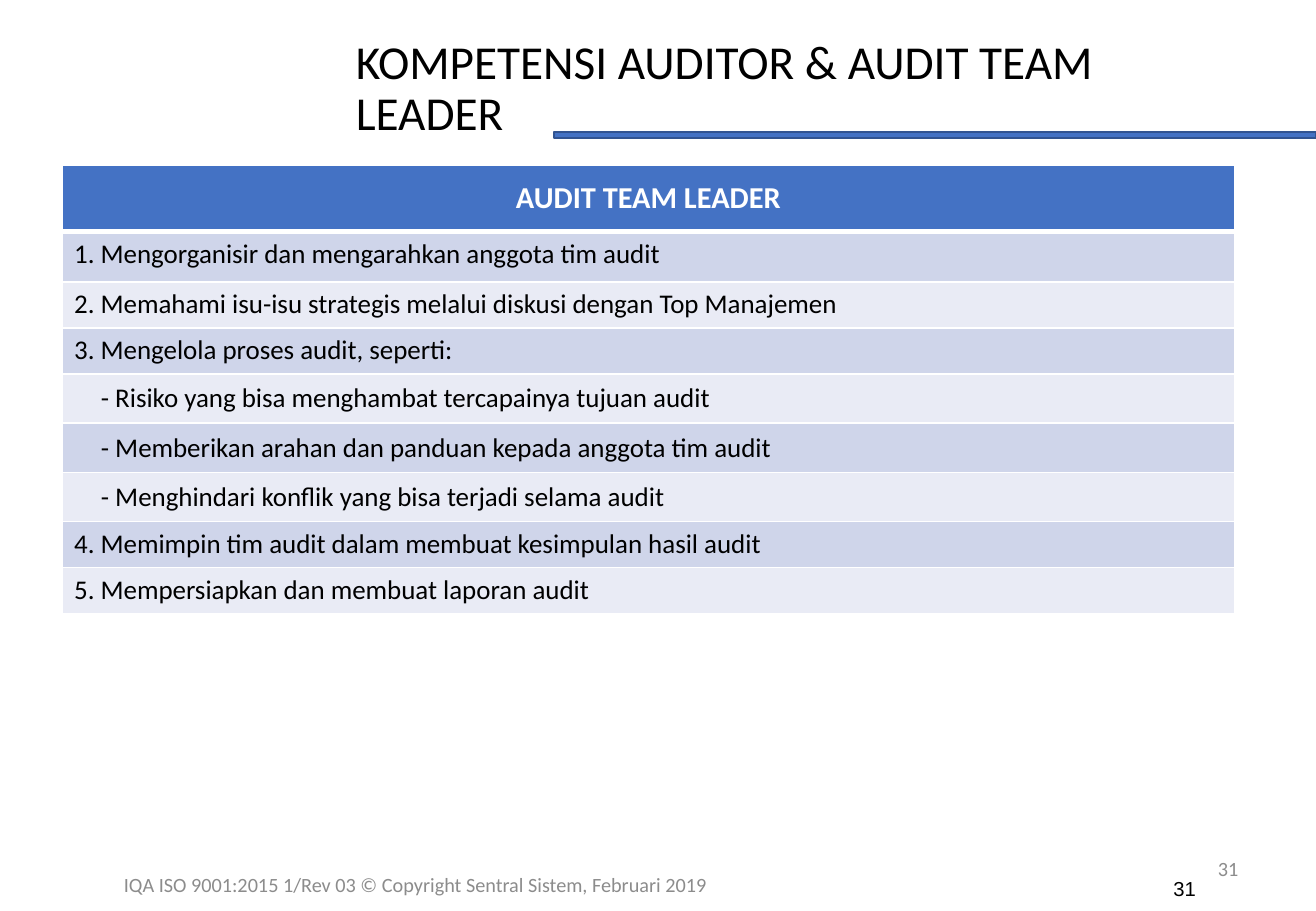
import pptx
import pptx.util
import pptx.dml.color
import pptx.enum.shapes
import pptx.enum.text
import pptx.oxml
import pptx.oxml.ns

Cm = pptx.util.Cm
Pt = pptx.util.Pt
RGB = pptx.dml.color.RGBColor.from_string
ALIGN = pptx.enum.text.PP_ALIGN
ANCHOR = pptx.enum.text.MSO_ANCHOR

THEME = {
    "accent": "4472C4", "accent_edge": "325491", "bands": ("CFD5EA", "E9EBF5"),
    "text": "000000", "muted": "8C8C8C", "light": "FFFFFF",
    "title_size": 28, "header_size": 18, "body_size": 16, "footer_size": 12,
    "font": "Calibri", "number_font": "Arial",
}


def write(frame, text, size, color=THEME["text"], font=THEME["font"],
          bold=False, align=ALIGN.LEFT, anchor=ANCHOR.MIDDLE, spacing=1.0):
    frame.word_wrap = True
    frame.vertical_anchor = anchor
    paragraph = frame.paragraphs[0]
    paragraph.alignment = align
    paragraph.line_spacing = spacing
    run = paragraph.add_run()
    run.text = text
    run.font.size = Pt(size)
    run.font.name = font
    run.font.bold = bold
    run.font.color.rgb = RGB(color)


def style_cell(cell, fill, bottom_width):
    properties = cell._tc.get_or_add_tcPr()
    for side, width in (("L", 1), ("R", 1), ("T", 1), ("B", bottom_width)):
        properties.append(pptx.oxml.parse_xml(
            f'<a:ln{side} {pptx.oxml.ns.nsdecls("a")} w="{Pt(width)}"><a:solidFill>'
            f'<a:srgbClr val="{THEME["light"]}"/></a:solidFill></a:ln{side}>'))
    cell.fill.solid()
    cell.fill.fore_color.rgb = RGB(fill)


deck = pptx.Presentation()
deck.slide_width = Cm(27.51)
deck.slide_height = Cm(19.05)
slide = deck.slides.add_slide(deck.slide_layouts[6])

footer = {"size": THEME["footer_size"], "color": THEME["muted"]}
texts = [
    ("31", (19.71, 17.65, 6.43, 1.02), {**footer, "align": ALIGN.RIGHT}),
    ("IQA ISO 9001:2015 1/Rev 03 © Copyright Sentral Sistem, Februari 2019",
     (2.34, 17.98, 15.21, 1.02), footer),
    ("31", (24.28, 18.21, 3.0, 0.8),
     {"size": THEME["footer_size"], "font": THEME["number_font"], "anchor": ANCHOR.TOP}),
    ("KOMPETENSI AUDITOR & AUDIT TEAM LEADER", (7.19, 0.28, 19.18, 3.18),
     {"size": THEME["title_size"], "spacing": 0.9}),
]
for text, place, style in texts:
    write(slide.shapes.add_textbox(*map(Cm, place)).text_frame, text, **style)

duties = [
    ("1. Mengorganisir dan mengarahkan anggota tim audit", 1.06),
    ("2. Memahami isu-isu strategis melalui diskusi dengan Top Manajemen", 0.96),
    ("3. Mengelola proses audit, seperti:", 0.96),
    ("- Risiko yang bisa menghambat tercapainya tujuan audit", 1.03),
    ("- Memberikan arahan dan panduan kepada anggota tim audit", 1.03),
    ("- Menghindari konflik yang bisa terjadi selama audit", 1.03),
    ("4. Memimpin tim audit dalam membuat kesimpulan hasil audit", 0.96),
    ("5. Mempersiapkan dan membuat laporan audit", 0.96),
]
header_height = 1.39
table_height = header_height + sum(height for _, height in duties)
leader_table = slide.shapes.add_table(
    len(duties) + 1, 1, Cm(1.3), Cm(3.45), Cm(24.51), Cm(table_height)).table

leader_table.rows[0].height = Cm(header_height)
header = leader_table.cell(0, 0)
style_cell(header, THEME["accent"], 3)
header.vertical_anchor = ANCHOR.MIDDLE
write(header.text_frame, "AUDIT TEAM LEADER", THEME["header_size"],
      color=THEME["light"], bold=True, align=ALIGN.CENTER)

for row, (duty, height) in enumerate(duties, 1):
    leader_table.rows[row].height = Cm(height)
    duty_cell = leader_table.cell(row, 0)
    style_cell(duty_cell, THEME["bands"][(row - 1) % 2], 1)
    is_detail = duty.startswith("-")
    duty_cell.margin_left = Cm(0.81 if is_detail else 0.25)
    duty_cell.vertical_anchor = ANCHOR.MIDDLE if is_detail else ANCHOR.TOP
    write(duty_cell.text_frame, duty, THEME["body_size"])

title_rule = slide.shapes.add_shape(
    pptx.enum.shapes.MSO_SHAPE.RECTANGLE, Cm(11.58), Cm(2.76), Cm(15.93), Cm(0.13))
title_rule.shadow.inherit = False
title_rule.fill.solid()
title_rule.fill.fore_color.rgb = RGB(THEME["accent"])
title_rule.line.color.rgb = RGB(THEME["accent_edge"])
title_rule.line.width = Pt(1)

deck.save("out.pptx")
